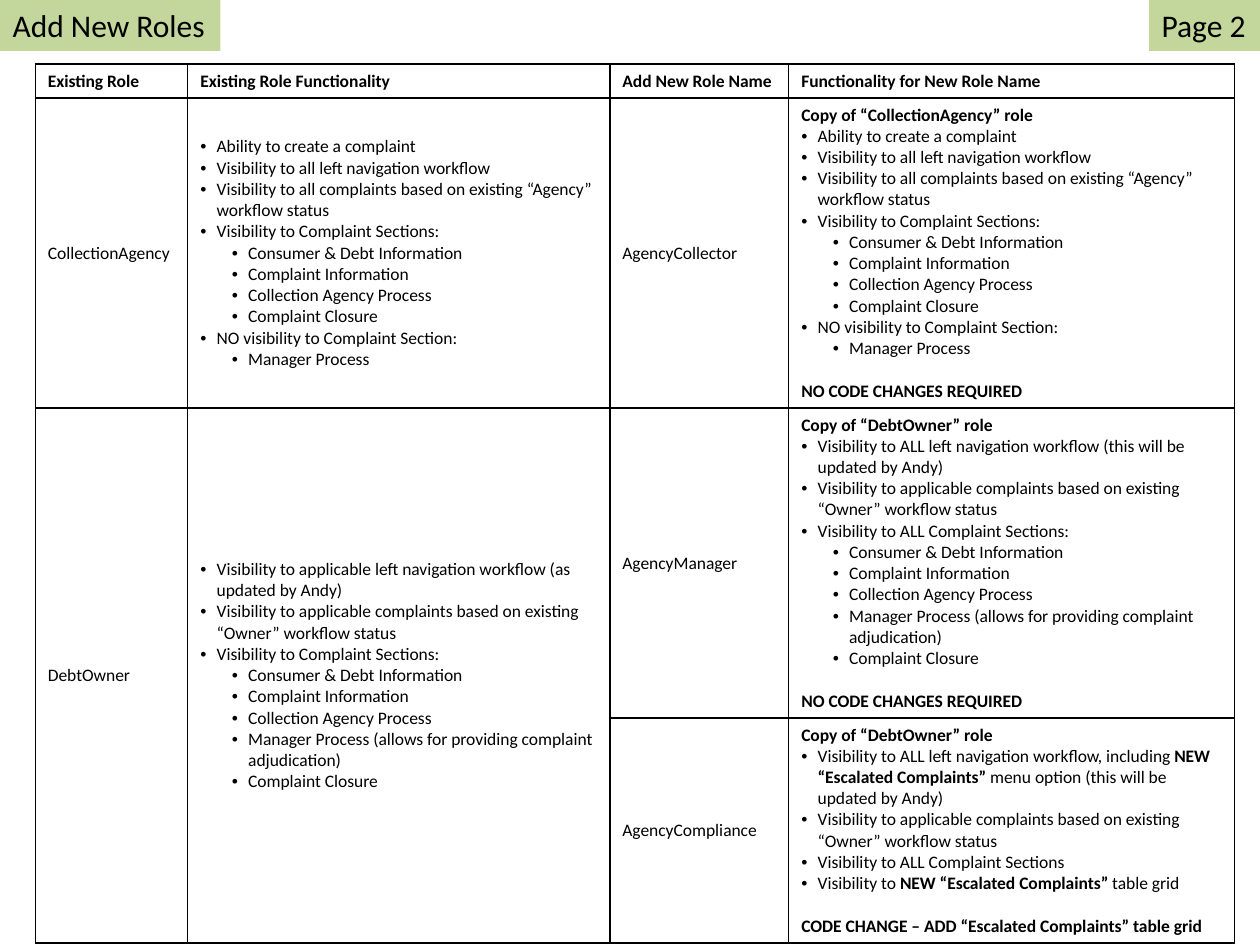
from dataclasses import dataclass

from lxml import etree
from pptx import Presentation, util as u
from pptx.dml.color import RGBColor
from pptx.enum import shapes, text
from pptx.oxml import ns


@dataclass(frozen=True)
class Theme:
    font: str = "Calibri"
    ink: str = "000000"
    tag: str = "C3D69B"
    tag_size: float = 18
    body_size: float = 10
    line_gap: float = 12.2
    rule: float = 1
    hang: float = 0.13
    step: float = 0.25


class RolePage:
    def __init__(self, deck, theme):
        self.deck, self.theme = deck, theme
        self.page = deck.slides.add_slide(deck.slide_layouts[5])

    def across(self, percent):
        return u.Emu(round(self.deck.slide_width * percent / 100))

    def down(self, percent):
        return u.Emu(round(self.deck.slide_height * percent / 100))

    def style(self, para, size, bold=None):
        para.alignment = text.PP_ALIGN.LEFT
        para.font.name = self.theme.font
        para.font.size = u.Pt(size)
        para.font.bold = bold
        para.font.color.rgb = RGBColor.from_string(self.theme.ink)

    def tag(self, box, words, left, width, height):
        box.left, box.top = self.across(left), u.Emu(0)
        box.width, box.height = self.across(width), self.down(height)
        box.fill.solid()
        box.fill.fore_color.rgb = RGBColor.from_string(self.theme.tag)
        box.line.fill.background()
        frame = box.text_frame
        frame.text = words
        frame.word_wrap = True
        frame.margin_right = 0
        frame.auto_size = text.MSO_AUTO_SIZE.NONE
        frame.vertical_anchor = text.MSO_ANCHOR.TOP
        self.style(frame.paragraphs[0], self.theme.tag_size)

    def title(self, words, **place):
        self.tag(self.page.shapes.title, words, **place)

    def label(self, words, **place):
        box = self.page.shapes.add_shape(shapes.MSO_SHAPE.RECTANGLE, 0, 0, 0, 0)
        box.shadow.inherit = False
        self.tag(box, words, **place)

    def bullet(self, para, level):
        para.level = level - 1
        props = para._p.get_or_add_pPr()
        props.set("marL", str(u.Inches(self.theme.hang + para.level * self.theme.step)))
        props.set("indent", str(-u.Inches(self.theme.hang)))
        font = etree.SubElement(props, ns.qn("a:buFont"), typeface="Arial")
        mark = etree.SubElement(props, ns.qn("a:buChar"), char="•")
        default = props.find(ns.qn("a:defRPr"))
        if default is not None:
            default.addprevious(font)
            default.addprevious(mark)

    def line(self, para, words, closing):
        level = len(words) - len(words.lstrip("-"))
        parts = words.lstrip("-").split("*")
        plain = len(parts) == 1
        whole = len(parts) == 3 and not parts[0] and not parts[2]
        for place, part in enumerate(parts):
            if part:
                span = para.add_run()
                span.text = part
                if not plain and not whole:
                    span.font.bold = place % 2 == 1
        self.style(para, self.theme.body_size, whole)
        if closing and whole:
            para.space_before = u.Pt(self.theme.line_gap)
        if level:
            self.bullet(para, level)

    def cell(self, cell, lines):
        cell.vertical_anchor = text.MSO_ANCHOR.MIDDLE
        for place, words in enumerate(lines):
            frame = cell.text_frame
            para = frame.add_paragraph() if place else frame.paragraphs[0]
            self.line(para, words, closing=place > 0)

    def borders(self, cell):
        props = cell._tc.get_or_add_tcPr()
        for side in ("lnL", "lnR", "lnT", "lnB"):
            edge = etree.SubElement(props, ns.qn("a:" + side), w=str(u.Pt(self.theme.rule)))
            fill = etree.SubElement(edge, ns.qn("a:solidFill"))
            etree.SubElement(fill, ns.qn("a:srgbClr"), val=self.theme.ink)
        cell.fill.background()

    def table(self, rows, left, top, columns, heights, merges):
        table = self.page.shapes.add_table(
            len(heights), len(columns), self.across(left), self.down(top),
            self.across(sum(columns)), self.down(sum(heights))).table
        table.first_row = table.horz_banding = False
        for column, width in zip(table.columns, columns):
            column.width = self.across(width)
        for row, height in zip(table.rows, heights):
            row.height = self.down(height)
        for start, end in merges:
            table.cell(*start).merge(table.cell(*end))
        for row, contents in zip(table.rows, rows):
            for cell, lines in zip(row.cells, contents):
                self.borders(cell)
                self.cell(cell, lines)


CASE_PARTS = ["--Consumer & Debt Information", "--Complaint Information",
              "--Collection Agency Process"]
CLOSURE = "--Complaint Closure"
OWNER_PARTS = CASE_PARTS + [
    "--Manager Process (allows for providing complaint adjudication)", CLOSURE]
OWNER_STATUS = "-Visibility to applicable complaints based on existing “Owner” workflow status"
OWNER_COPY = "*Copy of “DebtOwner” role*"
NO_CHANGE = "*NO CODE CHANGES REQUIRED*"
AGENCY = [
    "-Ability to create a complaint",
    "-Visibility to all left navigation workflow",
    "-Visibility to all complaints based on existing “Agency” workflow status",
    "-Visibility to Complaint Sections:", *CASE_PARTS, CLOSURE,
    "-NO visibility to Complaint Section:", "--Manager Process"]
OWNER = [
    "-Visibility to applicable left navigation workflow (as updated by Andy)",
    OWNER_STATUS, "-Visibility to Complaint Sections:", *OWNER_PARTS]
MANAGER = [
    OWNER_COPY,
    "-Visibility to ALL left navigation workflow (this will be updated by Andy)",
    OWNER_STATUS, "-Visibility to ALL Complaint Sections:", *OWNER_PARTS, NO_CHANGE]
COMPLIANCE = [
    OWNER_COPY,
    "-Visibility to ALL left navigation workflow, including "
    "*NEW “Escalated Complaints” *menu option (this will be updated by Andy)",
    OWNER_STATUS, "-Visibility to ALL Complaint Sections",
    "-Visibility to *NEW “Escalated Complaints” *table grid",
    "*CODE CHANGE – ADD “Escalated Complaints” table grid*"]
ROLES = [
    [["*Existing Role*"], ["*Existing Role Functionality*"],
     ["*Add New Role Name*"], ["*Functionality for New Role Name*"]],
    [["CollectionAgency"], AGENCY, ["AgencyCollector"],
     ["*Copy of “CollectionAgency” role*", *AGENCY, NO_CHANGE]],
    [["DebtOwner"], OWNER, ["AgencyManager"], MANAGER],
    [[], [], ["AgencyCompliance"], COMPLIANCE]]


def main():
    deck = Presentation()
    deck.slide_width, deck.slide_height = u.Inches(10), u.Inches(7.5)
    roles = RolePage(deck, Theme())
    roles.title("Add New Roles", left=0, width=17.5, height=5.4)
    roles.table(ROLES, left=2.8, top=6.8, columns=[12.1, 33.5, 14.2, 35.4],
                heights=[3.45, 32.5, 32.5, 23.6],
                merges=[((2, column), (3, column)) for column in (0, 1)])
    roles.label("Page 2", left=91.2, width=8.8, height=5.4)
    deck.save("out.pptx")


if __name__ == "__main__":
    main()
